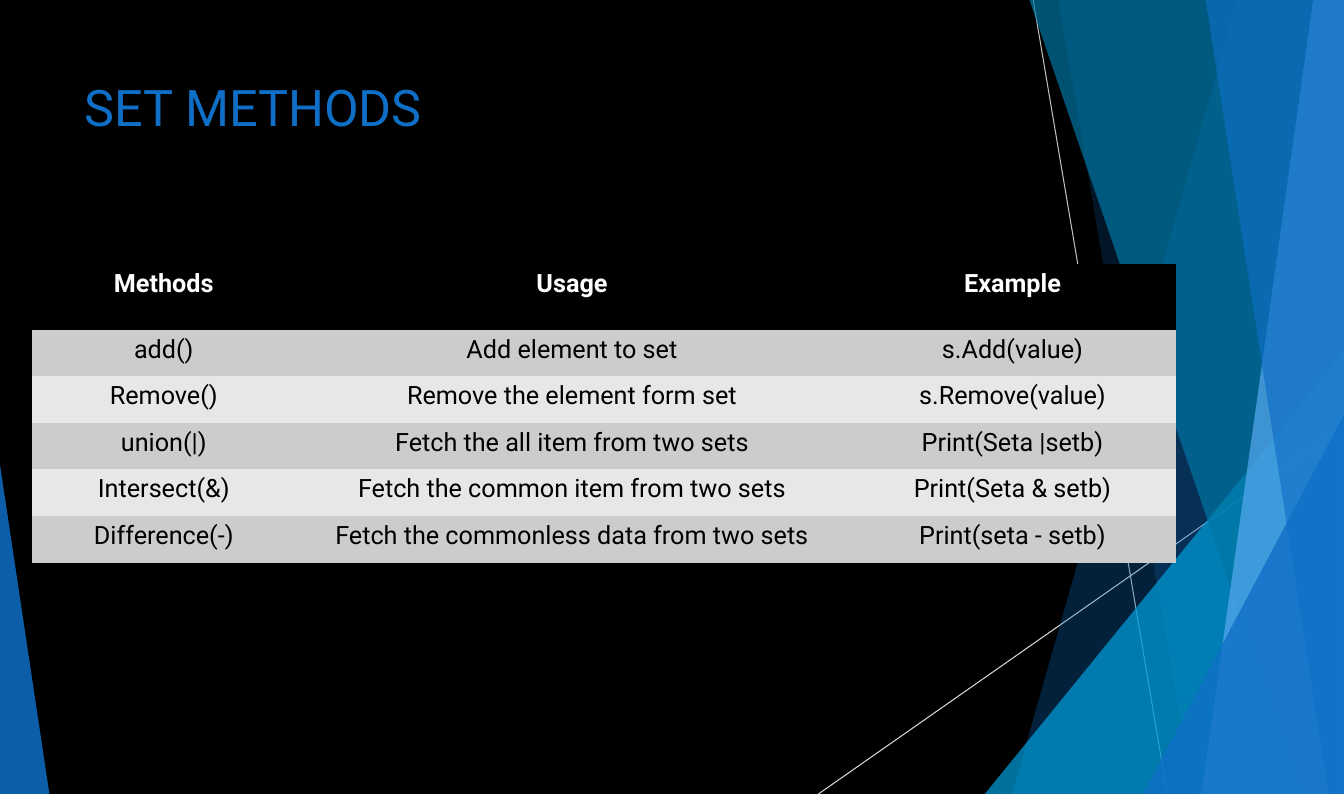
"""Build the SET METHODS slide: a methods table over a faceted blue backdrop."""
from lxml.etree import SubElement
from pptx import Presentation
from pptx.dml.color import RGBColor
from pptx.enum.shapes import MSO_CONNECTOR as Connector, MSO_SHAPE as Shape
from pptx.enum.text import MSO_ANCHOR as Anchor, MSO_AUTO_SIZE as AutoSize, PP_ALIGN as Align
from pptx.oxml.ns import qn
from pptx.util import Inches, Pt

WIDTH, HEIGHT = 40 / 3, 63 / 8
BAND_TOP = -0.01
BLUE = "0F6FC6"
NO_GRID_STYLE = "{2D5ABB26-0587-4C30-8999-92F81FD0307C}"


def color(value):
    return RGBColor.from_string(value)


def style(para, size, value, bold=False):
    for span in para.runs:
        span.font.name = "Roboto"
        span.font.size = Pt(size)
        span.font.bold = bold
        span.font.color.rgb = color(value)


deck = Presentation()
deck.slide_width, deck.slide_height = Inches(WIDTH), Inches(HEIGHT)
page = deck.slides.add_slide(deck.slide_layouts[5])
page.background.fill.solid()
page.background.fill.fore_color.rgb = color("000000")

rays = [((10.25, 0), (11.58, HEIGHT), "BFBFBF"), ((WIDTH, 4.23), (8.12, HEIGHT), "D9D9D9")]
for start, end, shade in rays:
    ray = page.shapes.add_connector(Connector.STRAIGHT, *map(Inches, start + end))
    ray.line.color.rgb = color(shade)
    ray.line.width = Pt(0.75)
    SubElement(ray._element.spPr, qn("a:effectLst"))

facets = [
    ("band", dict(top_x=12.28, bottom_x=10.04), BLUE, 30),
    ("band", dict(top_x=10.5, bottom_x=11.83), BLUE, 20),
    ("triangle", dict(left=9.77, top=3.5, width=3.56, apex=1), "009DD9", 72),
    ("band", dict(top_x=10.21, bottom_x=12.91), "0076A3", 70),
    ("band", dict(top_x=13.03, bottom_x=11.92), "59AAF2", 70),
    ("band", dict(top_x=11.96, bottom_x=13.18), BLUE, 65),
    ("triangle", dict(left=11.34, top=4.12, width=1.99, apex=1), BLUE, 80),
    ("triangle", dict(left=0, top=4.61, width=0.49, apex=0), BLUE, 85),
]
for kind, place, shade, opacity in facets:
    if kind == "band":
        outline = page.shapes.build_freeform(Inches(place["top_x"]), Inches(BAND_TOP))
        corners = [(WIDTH, BAND_TOP), (WIDTH, HEIGHT), (place["bottom_x"], HEIGHT)]
        outline.add_line_segments([(Inches(x), Inches(y)) for x, y in corners])
        facet = outline.convert_to_shape()
    else:
        box = (place["left"], place["top"], place["width"], HEIGHT - place["top"])
        facet = page.shapes.add_shape(Shape.ISOSCELES_TRIANGLE, *map(Inches, box))
        facet.adjustments[0] = place["apex"]
    facet.shadow.inherit = False
    facet.line.fill.background()
    facet.fill.solid()
    facet.fill.fore_color.rgb = color(shade)
    fill_color = facet._element.spPr.find(qn("a:solidFill"))[0]
    SubElement(fill_color, qn("a:alpha"), val=str(opacity * 1000))

title = page.shapes.title
title.left, title.top, title.width, title.height = map(Inches, (0.74, 0.7, 9.4, 1.52))
frame = title.text_frame
frame.text = "SET METHODS"
frame.word_wrap = True
frame.auto_size = AutoSize.NONE
frame.vertical_anchor = Anchor.TOP
frame.paragraphs[0].alignment = Align.LEFT
style(frame.paragraphs[0], 36, BLUE)

methods = [
    ("Methods", "Usage", "Example"),
    ("add()", "Add element to set", "s.Add(value)"),
    ("Remove()", "Remove the element form set", "s.Remove(value)"),
    ("union(|)", "Fetch the all item from two sets", "Print(Seta |setb)"),
    ("Intersect(&)", "Fetch the common item from two sets", "Print(Seta & setb)"),
    ("Difference(-)", "Fetch the commonless data from two sets", "Print(seta - setb)"),
]
table_height, header_height = 2.96, 0.65
row_height = (table_height - header_height) / (len(methods) - 1)
table_box = map(Inches, (0.32, 2.62, 11.35, table_height))
table = page.shapes.add_table(len(methods), 3, *table_box).table
table._tbl.tblPr.find(qn("a:tableStyleId")).text = NO_GRID_STYLE
for column, width in zip(table.columns, (2.61, 5.49, 3.25)):
    column.width = Inches(width)
for index, texts in enumerate(methods):
    header = index == 0
    table.rows[index].height = Inches(header_height if header else row_height)
    shade = "000000" if header else ("E7E7E7", "CCCCCC")[index % 2]
    for cell, text in zip(table.rows[index].cells, texts):
        cell.fill.solid()
        cell.fill.fore_color.rgb = color(shade)
        para = cell.text_frame.paragraphs[0]
        para.text = text
        para.alignment = Align.CENTER
        style(para, 18, "FFFFFF" if header else "000000", header)

deck.save("out.pptx")
